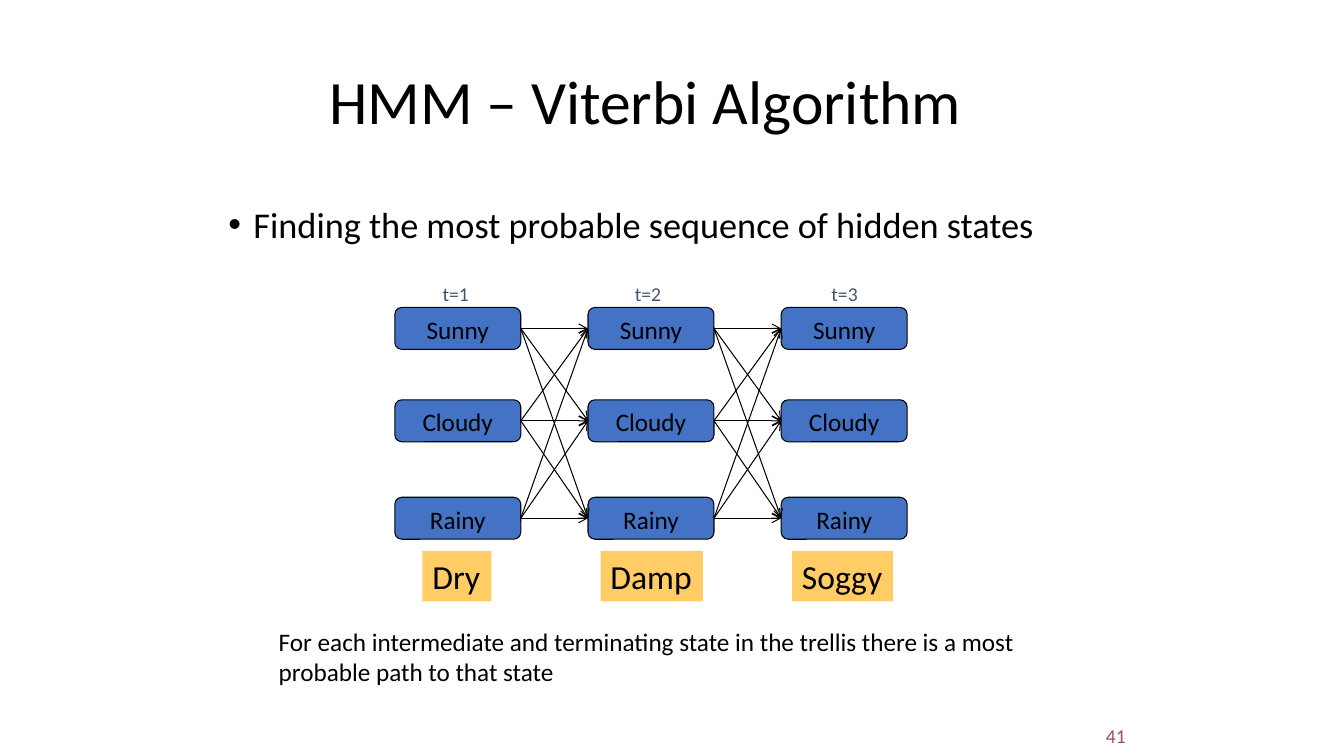
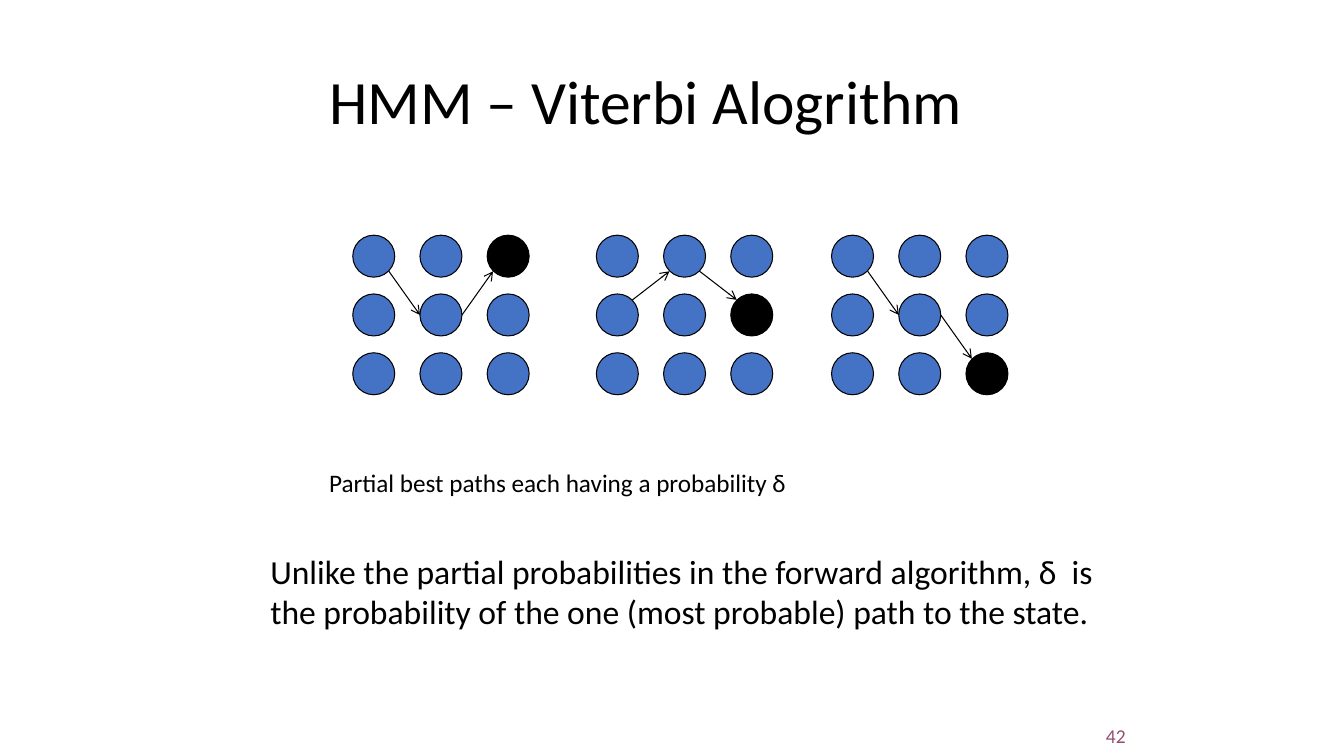
from itertools import pairwise, product

from lxml.etree import SubElement
from pptx import Presentation
from pptx.dml.color import RGBColor
from pptx.enum.shapes import MSO_CONNECTOR, MSO_SHAPE
from pptx.enum.text import MSO_ANCHOR, PP_ALIGN
from pptx.oxml.ns import qn
from pptx.util import Pt

EMU_PER_PX = 7620  # 120 px to the inch
FONT = "Calibri"
BLACK = RGBColor(0x00, 0x00, 0x00)
BLUE = RGBColor(0x44, 0x72, 0xC4)
AMBER = RGBColor(0xFF, 0xCC, 0x66)
SLATE = RGBColor(0x44, 0x54, 0x6A)
PLUM = RGBColor(0x95, 0x4F, 0x72)

STATES = {"Sunny": 366, "Cloudy": 476, "Rainy": 592}
STATE_LEFTS = (470, 700, 930)
STATE_SIZE = (150, 50)
TIMES = {"t=1": 515, "t=2": 744, "t=3": 978}
OBSERVATIONS = {"Dry": (503, 82), "Damp": (715, 122), "Soggy": (943, 120)}

DOT = 50
DOT_PITCH = (80, 70)
GRID_TOP = 280
# Points on a dot's outline, measured from its top left corner
LEFT, RIGHT = (0, 25), (50, 25)
TOP_LEFT, TOP_RIGHT = (7, 7), (43, 7)
BOTTOM_LEFT, BOTTOM_RIGHT = (7, 43), (43, 43)
# Left of each grid, row of the path in each column, outline points of each step
PARTIAL_PATHS = (
    (420, (0, 1, 0), ((BOTTOM_RIGHT, LEFT), (RIGHT, BOTTOM_LEFT))),
    (710, (1, 0, 1), ((TOP_RIGHT, BOTTOM_LEFT), (BOTTOM_RIGHT, TOP_LEFT))),
    (990, (0, 1, 2), ((BOTTOM_RIGHT, LEFT), (RIGHT, TOP_LEFT))),
)


def px(*lengths):
    return [length * EMU_PER_PX for length in lengths]


def write_text(shape, text, size=18, color=BLACK, align=PP_ALIGN.LEFT,
               anchor=MSO_ANCHOR.TOP, wrap=True, line_spacing=None,
               space_before=None, bullet=False):
    frame = shape.text_frame
    frame.word_wrap = wrap
    frame.vertical_anchor = anchor
    paragraph = frame.paragraphs[0]
    paragraph.alignment = align
    if line_spacing:
        paragraph.line_spacing = line_spacing
    if space_before:
        paragraph.space_before = Pt(space_before)
    if bullet:
        add_bullet(paragraph)
    run = paragraph.add_run()
    run.text = text
    run.font.name = FONT
    run.font.size = Pt(size)
    run.font.color.rgb = color


def add_bullet(paragraph):
    indent, = px(30)
    properties = paragraph._p.get_or_add_pPr()
    properties.set("marL", str(indent))
    properties.set("indent", str(-indent))
    SubElement(properties, qn("a:buFont")).set("typeface", "Arial")
    SubElement(properties, qn("a:buChar")).set("char", "•")


def add_text(shapes, box, text, **text_format):
    write_text(shapes.add_textbox(*px(*box)), text, **text_format)


def add_shape(shapes, kind, box, fill, outlined=True):
    shape = shapes.add_shape(kind, *px(*box))
    shape.shadow.inherit = False
    shape.fill.solid()
    shape.fill.fore_color.rgb = fill
    if outlined:
        shape.line.color.rgb = BLACK
        shape.line.width = Pt(0.75)
    else:
        shape.line.fill.background()
    return shape


def add_arrow(shapes, start=(0, 0), end=(0, 0)):
    arrow = shapes.add_connector(MSO_CONNECTOR.STRAIGHT, *px(*start, *end))
    arrow.line.color.rgb = BLACK
    arrow.line.width = Pt(0.75)
    SubElement(arrow.line._get_or_add_ln(), qn("a:tailEnd")).set("type", "arrow")
    SubElement(arrow._element.spPr, qn("a:effectLst"))
    return arrow


def add_slide(prs, title, number):
    """Add a blank slide with the shared title and slide number."""
    shapes = prs.slides.add_slide(prs.slide_layouts[6]).shapes
    add_text(shapes, (1064, 836, 288, 60), number, size=14, color=PLUM,
             align=PP_ALIGN.RIGHT, anchor=MSO_ANCHOR.BOTTOM)
    add_text(shapes, (380, 50, 968, 150), title, size=44,
             anchor=MSO_ANCHOR.MIDDLE, line_spacing=0.9)
    return shapes


def add_state(shapes, left, top, name):
    state = add_shape(shapes, MSO_SHAPE.ROUNDED_RECTANGLE,
                      (left, top, *STATE_SIZE), BLUE)
    write_text(state, name, align=PP_ALIGN.CENTER, wrap=False)
    return state


def add_trellis(shapes):
    """Draw the states at each time, each joined to every state of the next."""
    columns = [[add_state(shapes, left, top, name) for name, top in STATES.items()]
               for left in STATE_LEFTS]
    for earlier, later in pairwise(columns):
        for source, target in product(earlier, later):
            arrow = add_arrow(shapes)
            arrow.begin_connect(source, 3)
            arrow.end_connect(target, 1)


def add_partial_path(shapes, grid_left, rows, steps):
    """Draw a 3 by 3 grid of dots with a path that ends in a black dot."""
    group = shapes.add_group_shape().shapes

    def corner(column, row):
        return (grid_left + column * DOT_PITCH[0], GRID_TOP + row * DOT_PITCH[1])

    def outline_point(column, offset):
        left, top = corner(column, rows[column])
        return left + offset[0], top + offset[1]

    for column, row in product(range(3), repeat=2):
        fill = BLACK if (column, row) == (2, rows[2]) else BLUE
        add_shape(group, MSO_SHAPE.OVAL, (*corner(column, row), DOT, DOT), fill)
    for column, (leave, arrive) in enumerate(steps):
        add_arrow(group, outline_point(column, leave),
                  outline_point(column + 1, arrive))


def build_trellis_slide(prs):
    shapes = add_slide(prs, "HMM – Viterbi Algorithm", "41")
    add_text(shapes, (260, 230, 1044, 100),
             "Finding the most probable sequence of hidden states",
             size=25.9, line_spacing=1.1, space_before=10, bullet=True)
    add_text(shapes, (320, 739, 980, 85),
             "For each intermediate and terminating state in the trellis "
             "there is a most probable path to that state",
             anchor=MSO_ANCHOR.MIDDLE)
    add_trellis(shapes)
    for name, (left, width) in OBSERVATIONS.items():
        observation = add_shape(shapes, MSO_SHAPE.RECTANGLE,
                                (left, 656, width, 60), AMBER, outlined=False)
        write_text(observation, name, size=24, wrap=False)
    for time, left in TIMES.items():
        add_text(shapes, (left, 330, 88, 77), time, size=14, color=SLATE)


def build_partial_paths_slide(prs):
    shapes = add_slide(prs, "HMM – Viterbi Alogrithm", "42")
    add_text(shapes, (380, 550, 574, 48),
             "Partial best paths each having a probability δ", wrap=False)
    add_text(shapes, (310, 649, 1030, 109),
             "Unlike the partial probabilities in the forward algorithm, δ  is "
             "the probability of the one (most probable) path to the state.",
             size=24, anchor=MSO_ANCHOR.MIDDLE)
    for grid_left, rows, steps in PARTIAL_PATHS:
        add_partial_path(shapes, grid_left, rows, steps)


def main():
    prs = Presentation()
    prs.slide_width, prs.slide_height = px(1600, 900)
    build_trellis_slide(prs)
    build_partial_paths_slide(prs)
    prs.save("out.pptx")


if __name__ == "__main__":
    main()
